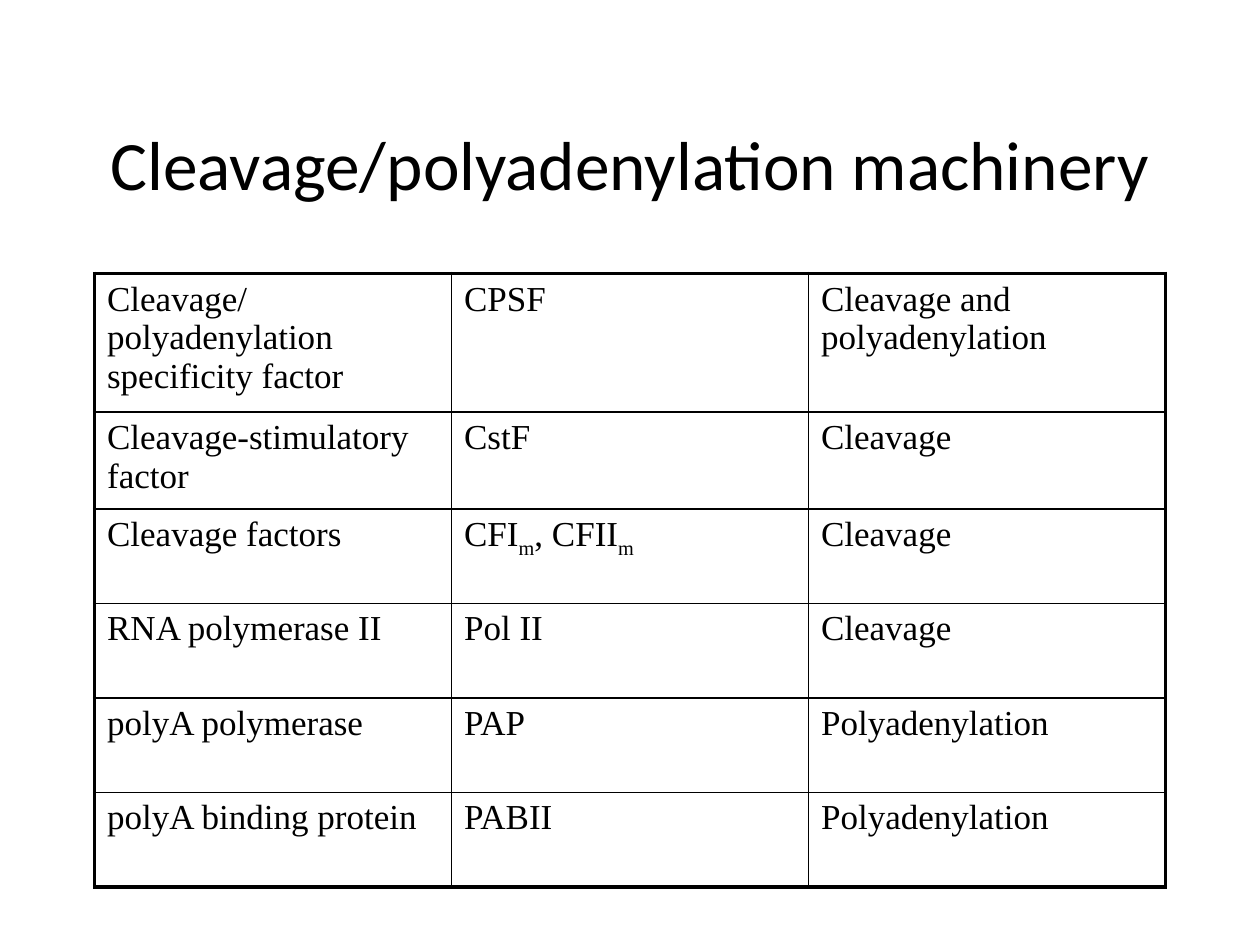
from dataclasses import dataclass
from typing import Any

from lxml.etree import SubElement
from pptx import Presentation
from pptx.dml.color import RGBColor
from pptx.enum.text import MSO_ANCHOR, PP_ALIGN
from pptx.oxml.ns import qn
from pptx.util import Inches, Pt

BLACK = RGBColor(0, 0, 0)
THIN, THICK = Pt(1), Pt(2.25)
HEAD = {"name": "Calibri", "size": Pt(39.6)}
BODY = {"name": "Times New Roman", "size": Pt(20)}


@dataclass
class Factor:
    name: str
    short: str
    role: str


FACTORS = [
    Factor("Cleavage/polyadenylation specificity factor", "CPSF",
           "Cleavage and polyadenylation"),
    Factor("Cleavage-stimulatory factor", "CstF", "Cleavage"),
    Factor("Cleavage factors", "CFI_m_, CFII_m", "Cleavage"),
    Factor("RNA polymerase II", "Pol II", "Cleavage"),
    Factor("polyA polymerase", "PAP", "Polyadenylation"),
    Factor("polyA binding protein", "PABII", "Polyadenylation"),
]


def write(para: Any, text: str, style: dict[str, Any]) -> None:
    for num, part in enumerate(text.split("_")):
        run = para.add_run()
        run.text = part
        for key, value in style.items():
            setattr(run.font, key, value)
        run.font.color.rgb = BLACK
        if num % 2:
            run._r.get_or_add_rPr().set("baseline", "-25000")


def edge(cell: Any, side: str, width: int) -> None:
    line = SubElement(cell._tc.get_or_add_tcPr(), qn(f"a:ln{side}"), w=str(width))
    fill = SubElement(line, qn("a:solidFill"))
    SubElement(fill, qn("a:srgbClr"), val=str(BLACK))


def add_title(slide: Any, text: str) -> None:
    box = slide.shapes.add_textbox(
        Inches(0.75), Inches(0.67), Inches(8.5), Inches(1.25))
    frame = box.text_frame
    frame.word_wrap = True
    frame.vertical_anchor = MSO_ANCHOR.MIDDLE
    para = frame.paragraphs[0]
    para.alignment = PP_ALIGN.CENTER
    write(para, text, HEAD)


def add_grid(slide: Any, items: list[Factor]) -> None:
    rows, cols = len(items), 3
    grid = slide.shapes.add_table(
        rows, cols, Inches(0.75), Inches(2.17),
        Inches(8.5), Inches(0.75) * rows).table
    grid.first_row = grid.horz_banding = False
    for row, item in enumerate(items):
        for col, text in enumerate((item.name, item.short, item.role)):
            cell = grid.cell(row, col)
            outer = {"L": col == 0, "R": col == cols - 1,
                     "T": row == 0, "B": row == rows - 1}
            for side, bold in outer.items():
                edge(cell, side, THICK if bold else THIN)
            cell.fill.background()
            write(cell.text_frame.paragraphs[0], text, BODY)


def main() -> None:
    deck = Presentation()
    deck.slide_width, deck.slide_height = Inches(10), Inches(7.5)
    slide = deck.slides.add_slide(deck.slide_layouts[6])
    add_title(slide, "Cleavage/polyadenylation machinery")
    add_grid(slide, FACTORS)
    deck.save("out.pptx")


if __name__ == "__main__":
    main()
